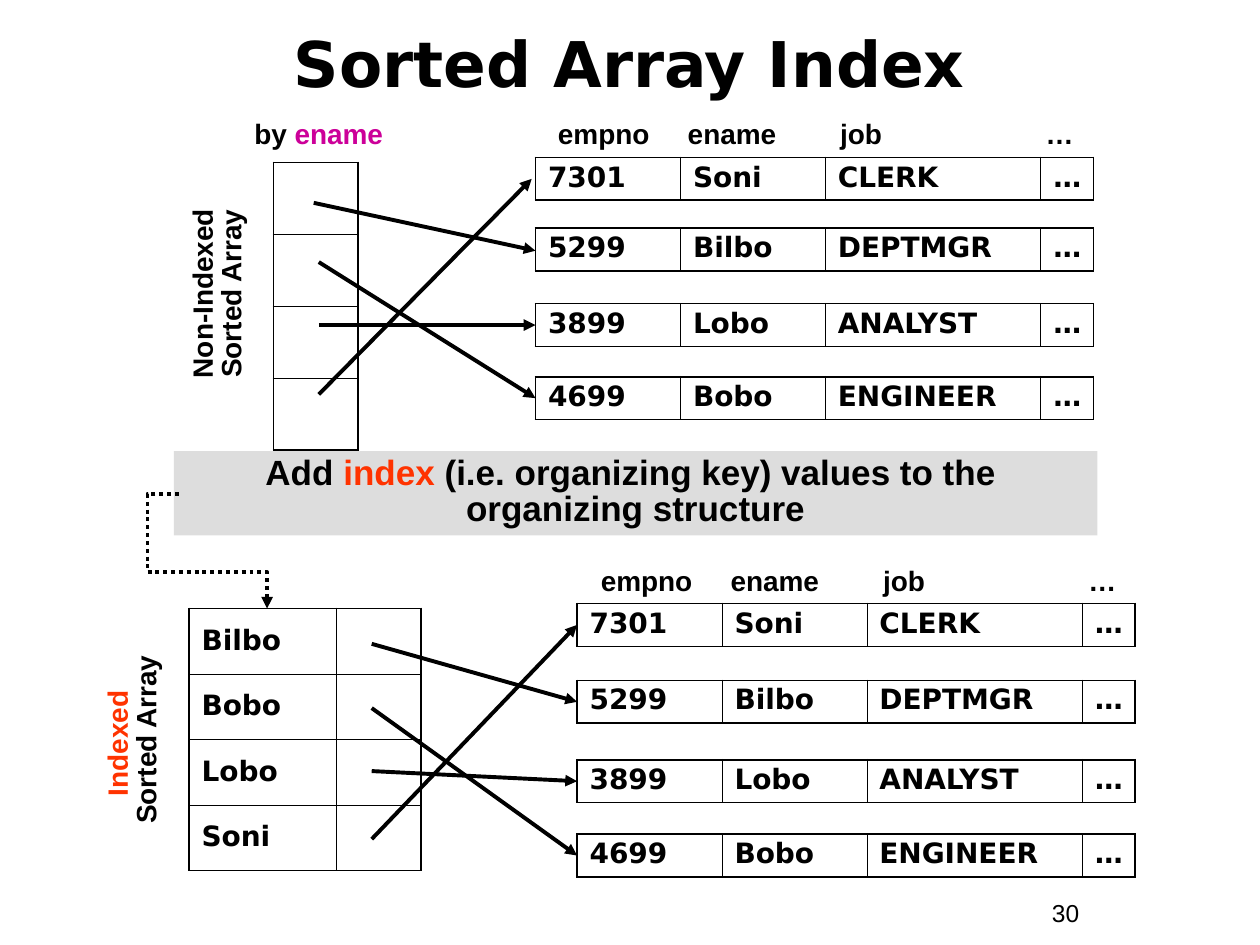
"""Build the slide that compares a non-indexed and an indexed sorted array."""
from lxml import etree
from pptx import Presentation
from pptx.dml import color as dml
from pptx.enum import dml as lines, shapes, text
from pptx.oxml import ns
from pptx.util import Inches, Pt

COLORS = {"ink": "000000", "key": "FF3300", "field": "CC0099", "band": "DDDDDD"}
MONO = "DejaVu Sans"
LEFT, CENTER = text.PP_ALIGN.LEFT, text.PP_ALIGN.CENTER
TOP, MIDDLE = text.MSO_ANCHOR.TOP, text.MSO_ANCHOR.MIDDLE


def write(frame, runs, size=16, font="Arial", bold=True, align=LEFT, spacing=1.0, anchor=TOP, tabs=()):
    """Fill a text frame with (text, colour) runs in one paragraph."""
    frame.word_wrap = True
    frame.vertical_anchor = anchor
    paragraph = frame.paragraphs[0]
    paragraph.alignment = align
    paragraph.line_spacing = spacing
    if tabs:
        stops = etree.SubElement(paragraph._p.get_or_add_pPr(), ns.qn("a:tabLst"))
        for stop in tabs:
            etree.SubElement(stops, ns.qn("a:tab"), pos=str(Inches(stop)), algn="l")
    for words, color in runs:
        for number, part in enumerate(words.split("\n")):
            if number:
                paragraph.add_line_break()
            if part:
                run = paragraph.add_run()
                run.text = part
                run.font.size, run.font.name, run.font.bold = Pt(size), font, bold
                run.font.color.rgb = dml.RGBColor.from_string(COLORS[color])


def grid(left, top, widths, height, rows, anchor=TOP):
    """Draw a table with a heavy outline and fine inner rules."""
    last_row, last_column = len(rows) - 1, len(widths) - 1
    table = slide.shapes.add_table(len(rows), len(widths), Inches(left), Inches(top),
                                   Inches(sum(widths)), Inches(height * len(rows))).table
    table.first_row = table.horz_banding = False
    for column, width in zip(table.columns, widths):
        column.width = Inches(width)
    for r, row in enumerate(rows):
        table.rows[r].height = Inches(height)
        for c, words in enumerate(row):
            cell = table.cell(r, c)
            if words:
                write(cell.text_frame, [(words, "ink")], font=MONO, spacing=0.9)
            cell.vertical_anchor = anchor
            outer = {"lnL": c == 0, "lnR": c == last_column, "lnT": r == 0, "lnB": r == last_row}
            for side, heavy in outer.items():
                rule = etree.SubElement(cell._tc.get_or_add_tcPr(), ns.qn("a:" + side),
                                        w=str(Pt(1.08 if heavy else 0.45)))
                paint = etree.SubElement(rule, ns.qn("a:solidFill"))
                etree.SubElement(paint, ns.qn("a:srgbClr"), val=COLORS["ink"])
            cell.fill.background()


deck = Presentation()
deck.slide_width, deck.slide_height = Inches(10), Inches(7.5)
slide = deck.slides.add_slide(deck.slide_layouts[6])

employees = [("7301", "Soni", "CLERK", "…"), ("5299", "Bilbo", "DEPTMGR", "…"),
             ("3899", "Lobo", "ANALYST", "…"), ("4699", "Bobo", "ENGINEER", "…")]
record_sets = [(4.25, (1.25, 1.81, 2.41, 2.99)), (4.58, (4.79, 5.4, 6.03, 6.62))]
for left, tops in record_sets:
    for top, employee in zip(tops, employees):
        grid(left, top, (1.15, 1.15, 1.71, 0.42), 0.34, [employee])

names = ["Bilbo", "Bobo", "Lobo", "Soni"]
grid(1.5, 4.83, (1.17, 0.67), 0.52, [(name, "") for name in names], MIDDLE)
grid(2.17, 1.29, (0.67,), 0.57, [("",) for name in names])

band = slide.shapes.add_shape(shapes.MSO_SHAPE.RECTANGLE, Inches(1.38), Inches(3.58),
                              Inches(7.33), Inches(0.67))
band.shadow.inherit = False
band.fill.solid()
band.fill.fore_color.rgb = dml.RGBColor.from_string(COLORS["band"])
band.line.fill.background()
write(band.text_frame, [("Add ", "ink"), ("index", "key"),
                        (" (i.e. organizing key) values to the \norganizing structure", "ink")],
      size=20, align=CENTER, spacing=0.85)

headings = [("empno\tename\tjob\t…", "ink")]
heading_tabs = {"tabs": (1.03, 2.24, 3.87)}
side_label = {"align": CENTER, "spacing": 0.85}
labels = [
    (0.33, 0.08, 9.33, 0.83, 0, [("Sorted Array Index", "ink")],
     {"size": 36, "font": MONO, "align": CENTER, "anchor": MIDDLE}),
    (1.92, 0.88, 1.33, 0.37, 0, [("by ", "ink"), ("ename", "field")], {}),
    (4.33, 0.88, 4.75, 0.37, 0, headings, heading_tabs),
    (4.67, 4.42, 4.75, 0.37, 0, headings, heading_tabs),
    (0.85, 2.05, 1.78, 0.56, 270, [("Non-Indexed Sorted Array", "ink")], side_label),
    (0.15, 5.59, 1.83, 0.56, 270, [("Indexed \n", "key"), ("Sorted Array", "ink")], side_label),
    (8.25, 7.08, 0.92, 0.34, 0, [("30", "ink")], {"size": 14, "bold": False}),
]
for left, top, width, height, turn, runs, style in labels:
    label = slide.shapes.add_textbox(Inches(left), Inches(top), Inches(width), Inches(height))
    label.rotation = turn
    write(label.text_frame, runs, **style)

pointers = [
    (2.49, 1.61, 4.25, 1.99), (2.53, 2.08, 4.25, 3.16),
    (2.53, 2.58, 4.25, 2.58), (2.53, 3.13, 4.22, 1.42),
    (2.95, 5.11, 4.58, 5.57), (2.95, 5.62, 4.58, 6.79),
    (2.95, 6.12, 4.58, 6.2), (2.95, 6.66, 4.58, 4.96),
]
band_link = (1.42, 3.92, 2.12, 4.83)
for ends in pointers + [band_link]:
    bent = ends == band_link
    kind = shapes.MSO_CONNECTOR.ELBOW if bent else shapes.MSO_CONNECTOR.STRAIGHT
    pointer = slide.shapes.add_connector(kind, *[Inches(end) for end in ends])
    pointer.line.width = Pt(2.25)
    pointer.line.color.rgb = dml.RGBColor.from_string(COLORS["ink"])
    properties = pointer._element.spPr
    if bent:
        pointer.line.dash_style = lines.MSO_LINE.ROUND_DOT
        route = properties.find(ns.qn("a:prstGeom"))
        route.set("prst", "bentConnector4")
        bends = route.find(ns.qn("a:avLst"))
        for name, share in (("adj1", -35600), ("adj2", 68300)):
            etree.SubElement(bends, ns.qn("a:gd"), name=name, fmla=f"val {share}")
    etree.SubElement(properties.find(ns.qn("a:ln")), ns.qn("a:tailEnd"), type="triangle")
    etree.SubElement(properties, ns.qn("a:effectLst"))

deck.save("out.pptx")
